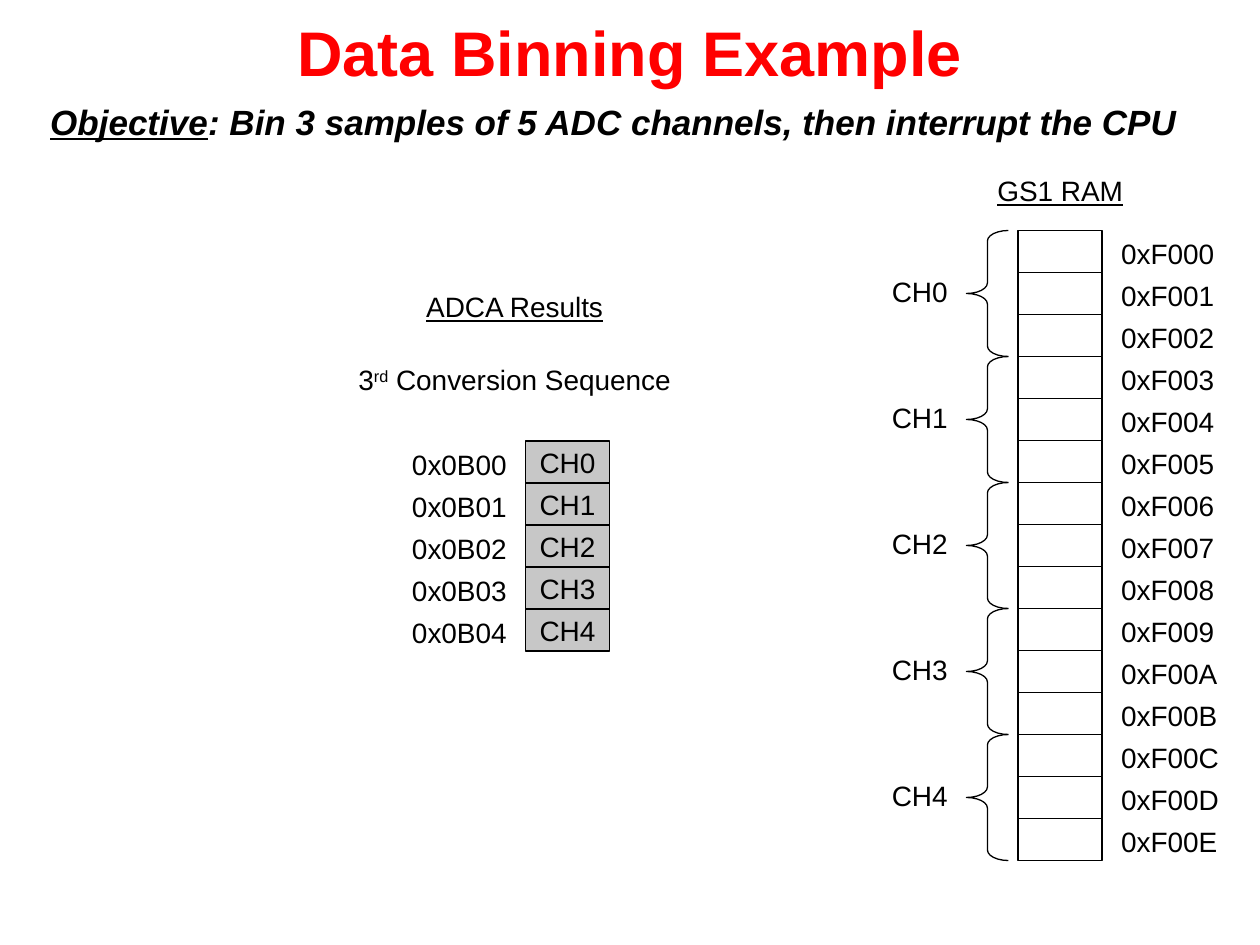
"""Build the slide that shows how ADC samples are binned in RAM."""
from pptx import Presentation
from pptx.dml.color import RGBColor
from pptx.enum.shapes import MSO_SHAPE as SHAPE
from pptx.enum.text import MSO_ANCHOR as ANCHOR, MSO_AUTO_SIZE as FIT, PP_ALIGN as ALIGN
from pptx.util import Inches, Pt

BLACK = RGBColor(0, 0, 0)
WHITE = RGBColor(255, 255, 255)
RED = RGBColor(255, 0, 0)
GREY = RGBColor(0xC7, 0xC7, 0xC7)

CELL = 1 / 3
WIDE = 2 / 3
TOP = 1.83
BINS = 5
DEPTH = 3


def write(box, text, size=16, color=BLACK, align=ALIGN.LEFT, anchor=ANCHOR.TOP,
          wrap=True, fit=FIT.NONE, bold=False, italic=False, under=False, raised=False):
    frame = box.text_frame
    frame.word_wrap = wrap
    frame.auto_size = fit
    frame.vertical_anchor = anchor
    line = frame.paragraphs[0]
    line.alignment = align
    run = line.add_run()
    run.text = text
    font = run.font
    font.name = "Arial"
    font.size = Pt(size)
    font.color.rgb = color
    font.bold = bold
    font.italic = italic
    font.underline = under
    if raised:
        run._r.get_or_add_rPr().set("baseline", "30000")


def draw(kind, left, top, width, height, fill=None, edge=BLACK):
    shape = shapes.add_shape(kind, Inches(left), Inches(top), Inches(width), Inches(height))
    shape.shadow.inherit = False
    if fill is None:
        shape.fill.background()
    else:
        shape.fill.solid()
        shape.fill.fore_color.rgb = fill
    if edge is None:
        shape.line.fill.background()
    else:
        shape.line.color.rgb = edge
        shape.line.width = Pt(0.75)
    return shape


deck = Presentation()
deck.slide_width = Inches(10)
deck.slide_height = Inches(7.5)
slide = deck.slides.add_slide(deck.slide_layouts[5])
shapes = slide.shapes

title = shapes.title
title.left, title.top = Inches(0), Inches(0)
title.width, title.height = Inches(10), Inches(0.81)
write(title, "Data Binning Example", size=36, color=RED, bold=True,
      align=ALIGN.CENTER, anchor=ANCHOR.MIDDLE)

goal = shapes.add_textbox(Inches(0.3), Inches(0.8), Inches(9.32), Inches(0.38))
write(goal, "Objective", size=20, bold=True, italic=True, under=True)
write(goal, ": Bin 3 samples of 5 ADC channels, then interrupt the CPU",
      size=20, bold=True, italic=True)
goal.text_frame.paragraphs[0].line_spacing = 0.85

labels = [
    ("ADCA Results", 2.51, 2.25, 3.15, ALIGN.CENTER, True),
    ("GS1 RAM", 7.75, 1.33, 1.33, ALIGN.CENTER, True),
]

for row in range(BINS * DEPTH):
    top = TOP + row * CELL
    draw(SHAPE.RECTANGLE, 8.08, top, WIDE, CELL)
    labels.append((f"0xF{row:03X}", 8.8, top, 1.04, ALIGN.LEFT, False))

for chan in range(BINS):
    name = f"CH{chan}"
    top = 3.5 + chan * CELL
    cell = draw(SHAPE.RECTANGLE, 4.17, top, WIDE, CELL, fill=GREY)
    write(cell, name, align=ALIGN.CENTER, anchor=ANCHOR.MIDDLE, wrap=False)
    labels.append((f"0x0B{chan:02X}", 3.08, top, 1.04, ALIGN.RIGHT, False))

    top = TOP + chan * DEPTH * CELL
    brace = draw(SHAPE.LEFT_BRACE, 7.67, top, CELL, DEPTH * CELL)
    brace.adjustments[0] = 0.25
    brace.adjustments[1] = 0.5
    labels.append((name, 6.92, top + 0.3, 0.7, ALIGN.RIGHT, False))

for text, left, top, width, align, under in labels:
    box = shapes.add_textbox(Inches(left), Inches(top), Inches(width), Inches(0.37))
    write(box, text, align=align, under=under, fit=FIT.SHAPE_TO_FIT_TEXT)

draw(SHAPE.RECTANGLE, 2.58, 2.75, 3.08, 0.5, fill=WHITE, edge=None)
phase = draw(SHAPE.RECTANGLE, 2.67, 2.83, 2.83, 0.37, fill=WHITE, edge=None)
for text, raised in (("3", False), ("rd", True), (" Conversion Sequence", False)):
    write(phase, text, align=ALIGN.CENTER, raised=raised, fit=FIT.SHAPE_TO_FIT_TEXT)

deck.save("out.pptx")
